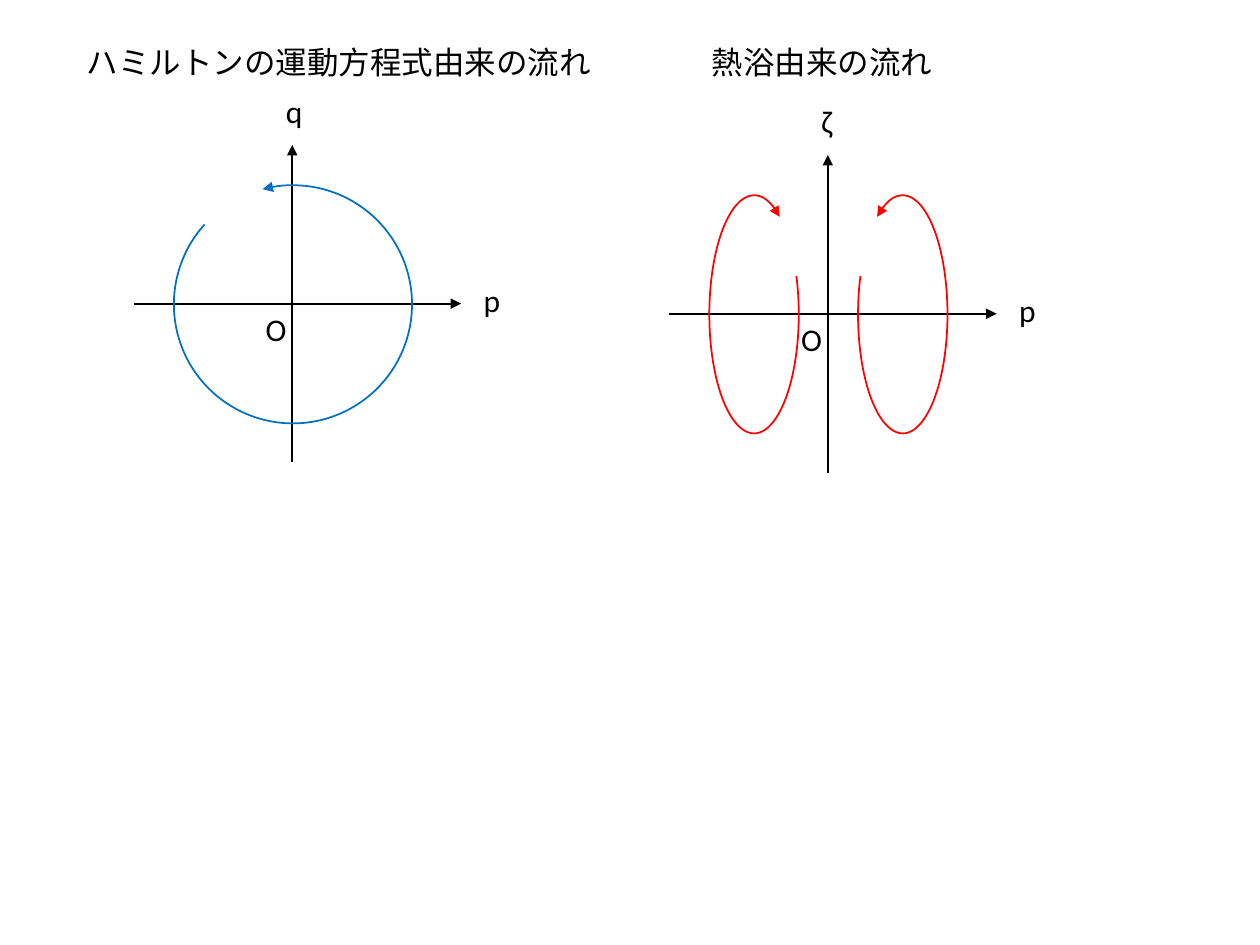
"""Build a slide with two phase-space flow diagrams."""
import pptx
import pptx.dml.color
import pptx.enum.shapes
import pptx.enum.text
import pptx.oxml
import pptx.oxml.ns
import pptx.util
from pptx.util import Inches

THEME = {
    "font": "Calibri",
    "size": pptx.util.Pt(18),
    "line": pptx.util.Pt(1),
    "ink": pptx.dml.color.RGBColor.from_string("000000"),
    "hamilton": pptx.dml.color.RGBColor.from_string("0070C0"),
    "bath": pptx.dml.color.RGBColor.from_string("FF0000"),
}
ARC_ANGLES = (153.15, 133.24)
AXES = [((-1.26, 0), (1.34, 0)), ((0, 1.26), (0, -1.26))]
ARC_TOP, ARC_HEIGHT = -0.94, 1.89

PANELS = [
    {
        "title": "ハミルトンの運動方程式由来の流れ",
        "title_box": (0.59, 4.24),
        "origin": (2.32, 2.41),
        "vertical": ("q", 0.34),
        "color": THEME["hamilton"],
        "arcs": [(-0.94, 1.89, False)],
    },
    {
        "title": "熱浴由来の流れ",
        "title_box": (5.55, 1.97),
        "origin": (6.57, 2.49),
        "vertical": ("ζ", 0.29),
        "color": THEME["bath"],
        "arcs": [(0.24, 0.71, False), (-0.94, 0.71, True)],
    },
]

presentation = pptx.Presentation()
presentation.slide_width = Inches(10)
presentation.slide_height = Inches(7.5)
slide = presentation.slides.add_slide(presentation.slide_layouts[6])


def add_label(text, left, top, width):
    box = slide.shapes.add_textbox(Inches(left), Inches(top), Inches(width), Inches(0.4))
    frame = box.text_frame
    frame.word_wrap = False
    frame.auto_size = pptx.enum.text.MSO_AUTO_SIZE.SHAPE_TO_FIT_TEXT
    run = frame.paragraphs[0].add_run()
    run.text = text
    for name, value in {"name": THEME["font"], "size": THEME["size"]}.items():
        setattr(run.font, name, value)
    run.font.color.rgb = THEME["ink"]


def style_line(shape, color, arrow_end):
    shape.line.color.rgb = color
    shape.line.width = THEME["line"]
    arrow = pptx.oxml.parse_xml(
        f'<a:{arrow_end} {pptx.oxml.ns.nsdecls("a")} type="triangle"/>'
    )
    shape.line._get_or_add_ln().append(arrow)


for panel in PANELS:
    origin_x, origin_y = panel["origin"]

    for (start_x, start_y), (end_x, end_y) in AXES:
        axis = slide.shapes.add_connector(
            pptx.enum.shapes.MSO_CONNECTOR.STRAIGHT,
            Inches(origin_x + start_x), Inches(origin_y + start_y),
            Inches(origin_x + end_x), Inches(origin_y + end_y),
        )
        style_line(axis, THEME["ink"], "tailEnd")
        axis._element.spPr.append(pptx.oxml.parse_xml(
            f'<a:effectLst {pptx.oxml.ns.nsdecls("a")}/>'
        ))

    vertical_name, vertical_width = panel["vertical"]
    for text, offset_x, offset_y, width in [
        ("p", 1.42, -0.23, 0.34),
        (vertical_name, -0.15, -1.73, vertical_width),
        ("O", -0.31, 0, 0.37),
    ]:
        add_label(text, origin_x + offset_x, origin_y + offset_y, width)

    for offset_x, width, mirrored in panel["arcs"]:
        arc = slide.shapes.add_shape(
            pptx.enum.shapes.MSO_SHAPE.ARC,
            Inches(origin_x + offset_x), Inches(origin_y + ARC_TOP),
            Inches(width), Inches(ARC_HEIGHT),
        )
        for index, angle in enumerate(ARC_ANGLES):
            arc.adjustments[index] = angle
        arc.shadow.inherit = False
        arc.fill.background()
        style_line(arc, panel["color"], "headEnd")
        if mirrored:
            arc._element.spPr.xfrm.set("flipH", "1")

    title_left, title_width = panel["title_box"]
    add_label(panel["title"], title_left, 0.29, title_width)

presentation.save("out.pptx")
